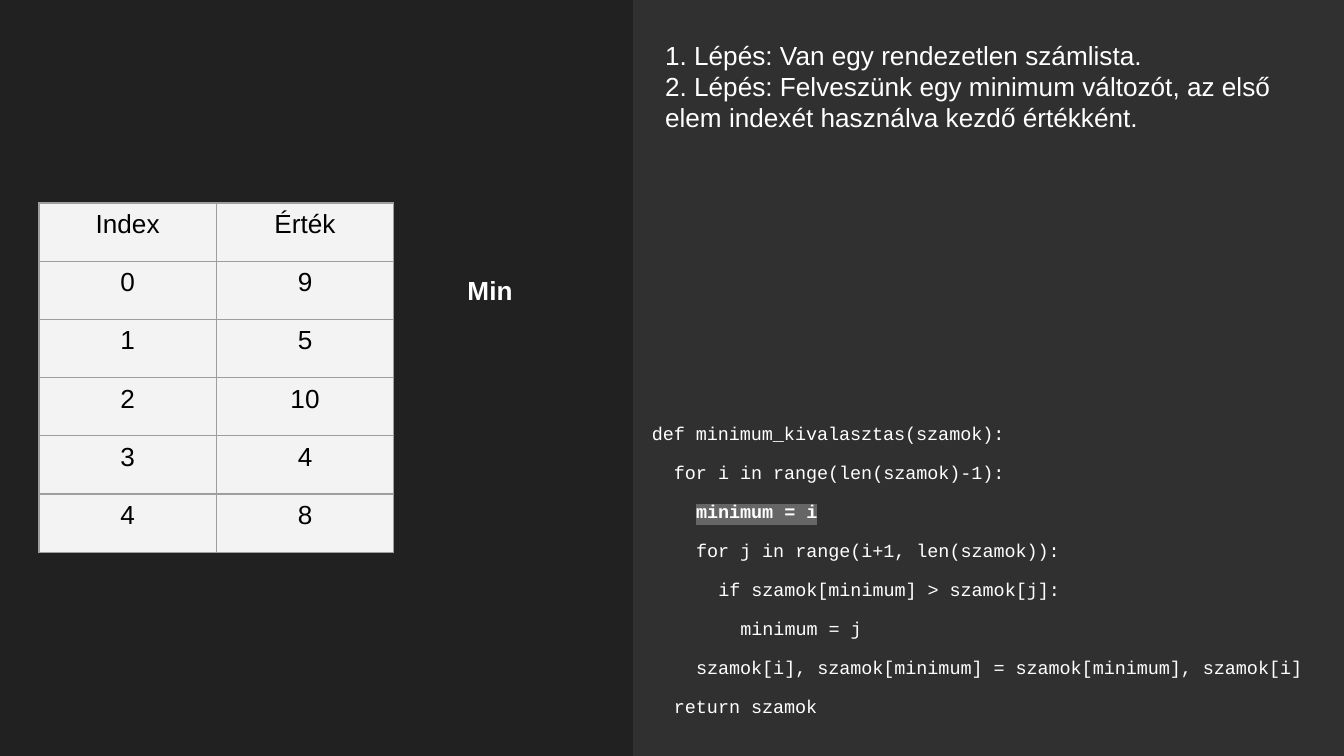
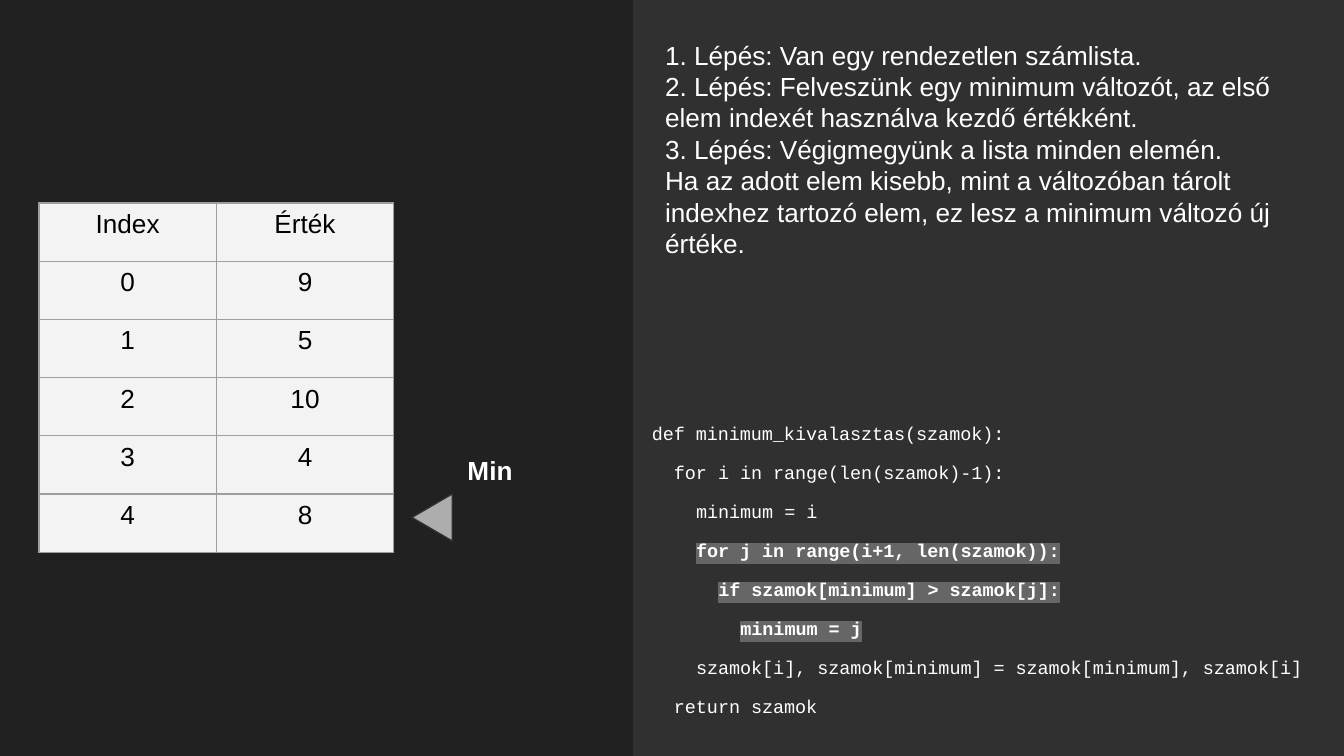
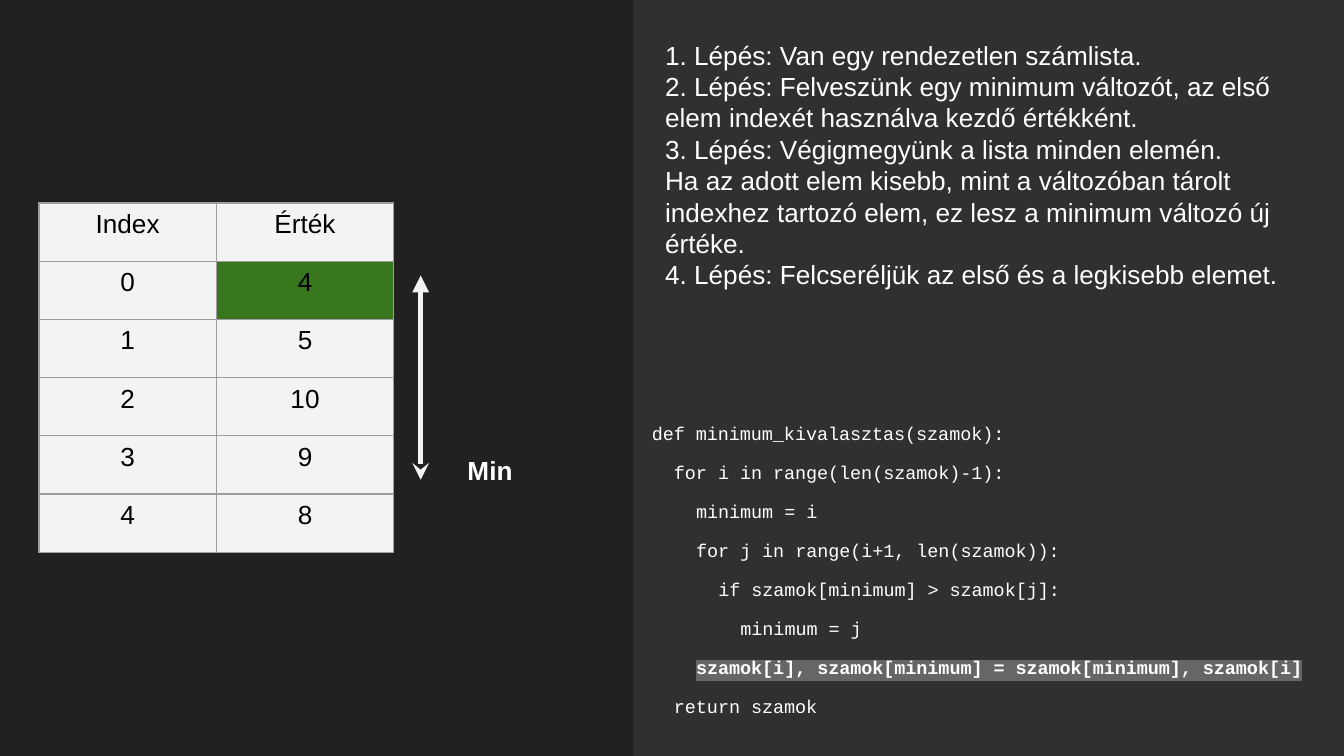
"""Builds three slides that step through selection sort."""
import lxml.etree
import pptx
import pptx.dml.color
import pptx.enum.shapes
import pptx.enum.text
import pptx.oxml.ns
import pptx.util

Inches = pptx.util.Inches
Pt = pptx.util.Pt
qn = pptx.oxml.ns.qn
ALIGN = pptx.enum.text.PP_ALIGN
ANCHOR = pptx.enum.text.MSO_ANCHOR
SHAPE = pptx.enum.shapes.MSO_SHAPE

COLORS = {
    "background": "212121",
    "panel": "303030",
    "text": "FFFFFF",
    "cell": "F3F3F3",
    "cell_text": "000000",
    "swapped": "38761D",
    "border": "9E9E9E",
    "pointer": "ADADAD",
    "highlight": "666666",
}
CODE_SIZE = 9.9
CODE_INDENT = 2 * 0.6 * CODE_SIZE

STEPS = [
    "1. Lépés: Van egy rendezetlen számlista.",
    "2. Lépés: Felveszünk egy minimum változót, az első elem indexét használva kezdő értékként.",
    "3. Lépés: Végigmegyünk a lista minden elemén.",
    "Ha az adott elem kisebb, mint a változóban tárolt indexhez tartozó elem, "
    "ez lesz a minimum változó új értéke.",
    "4. Lépés: Felcseréljük az első és a legkisebb elemet.",
]
CODE = [
    (0, "def minimum_kivalasztas(szamok):"),
    (1, "for i in range(len(szamok)-1):"),
    (2, "minimum = i"),
    (2, "for j in range(i+1, len(szamok)):"),
    (3, "if szamok[minimum] > szamok[j]:"),
    (4, "minimum = j"),
    (2, "szamok[i], szamok[minimum] = szamok[minimum], szamok[i]"),
    (1, "return szamok"),
]


def rgb(name):
    return pptx.dml.color.RGBColor.from_string(COLORS[name])


def write(paragraph, text, size=14, font="Arial", color="text", bold=False,
          highlight=None, align=ALIGN.LEFT, indent=0, spacing=1.0, before=0, after=0):
    paragraph.alignment = align
    paragraph.line_spacing = spacing
    paragraph.space_before, paragraph.space_after = Pt(before), Pt(after)
    properties = paragraph._p.get_or_add_pPr()
    properties.set("marL", str(Pt(indent)))
    properties.set("indent", "0")
    run = paragraph.add_run()
    run.text = text
    run.font.size, run.font.name, run.font.bold = Pt(size), font, bold
    run.font.color.rgb = rgb(color)
    if highlight:
        mark = lxml.etree.Element(qn("a:highlight"))
        lxml.etree.SubElement(mark, qn("a:srgbClr"), val=COLORS[highlight])
        run._r.rPr.find(qn("a:latin")).addprevious(mark)


class Deck:
    def __init__(self):
        self.presentation = pptx.Presentation()
        self.presentation.slide_width = Inches(10)
        self.presentation.slide_height = Inches(5.625)
        fill = self.presentation.slide_master.background.fill
        fill.solid()
        fill.fore_color.rgb = rgb("background")
        self.slide = None

    def start_slide(self):
        self.slide = self.presentation.slides.add_slide(self.presentation.slide_layouts[6])
        self.shape(SHAPE.RECTANGLE, 4.71, 0, 5.29, 5.625, "panel")

    def shape(self, kind, left, top, width, height, fill, line=None, rotation=0):
        shape = self.slide.shapes.add_shape(
            kind, Inches(left), Inches(top), Inches(width), Inches(height))
        shape.shadow.inherit = False
        shape.rotation = rotation
        shape.fill.solid()
        shape.fill.fore_color.rgb = rgb(fill)
        if line:
            shape.line.color.rgb = rgb(line)
            shape.line.width = Pt(0.75)
        else:
            shape.line.fill.background()

    def text(self, left, top, width, height, lines, anchor=ANCHOR.TOP, side=0.1):
        box = self.slide.shapes.add_textbox(
            Inches(left), Inches(top), Inches(width), Inches(height))
        frame = box.text_frame
        frame.word_wrap = True
        frame.vertical_anchor = anchor
        frame.margin_left = frame.margin_right = Inches(side)
        frame.margin_top = frame.margin_bottom = Inches(0.1)
        for number, (line, style) in enumerate(lines):
            paragraph = frame.add_paragraph() if number else frame.paragraphs[0]
            write(paragraph, line, **style)

    def steps(self, count):
        height = 1.62 if count == 2 else 2.88
        self.text(4.85, 0.19, 4.98, height, [(step, {}) for step in STEPS[:count]])

    def code(self, active):
        lines = []
        for number, (level, line) in enumerate(CODE):
            style = dict(size=CODE_SIZE, font="Courier New", spacing=0.75,
                         indent=level * CODE_INDENT, before=12 if number else 10,
                         after=12 if number == len(CODE) - 1 else 0)
            if number in active:
                style.update(bold=True, highlight="highlight")
            lines.append((line, style))
        self.text(4.85, 2.58, 5, 3.36, lines, anchor=ANCHOR.MIDDLE, side=0)

    def value_table(self, values, swapped=None):
        rows = [("Index", "Érték")] + list(enumerate(values))
        table = self.slide.shapes.add_table(
            len(rows), 2, Inches(0.29), Inches(1.51), Inches(2.64), Inches(2.6)).table
        table.first_row = table.horz_banding = False
        for row, entries in enumerate(rows):
            for column, entry in enumerate(entries):
                cell = table.cell(row, column)
                write(cell.text_frame.paragraphs[0], str(entry),
                      color="cell_text", align=ALIGN.CENTER)
                cell.fill.solid()
                cell.fill.fore_color.rgb = rgb("swapped" if (row, column) == swapped else "cell")
                self.borders(cell)

    def borders(self, cell):
        properties = cell._tc.get_or_add_tcPr()
        for place, side in enumerate(("a:lnL", "a:lnR", "a:lnT", "a:lnB")):
            line = lxml.etree.Element(qn(side), w=str(Pt(0.75)))
            fill = lxml.etree.SubElement(line, qn("a:solidFill"))
            lxml.etree.SubElement(fill, qn("a:srgbClr"), val=COLORS["border"])
            properties.insert(place, line)

    def min_label(self, top):
        self.text(3.38, top, 0.59, 0.43, [("Min", dict(bold=True))])

    def row_pointer(self):
        self.shape(SHAPE.ISOSCELES_TRIANGLE, 3.04, 3.7, 0.35, 0.3,
                   "pointer", line="panel", rotation=270)

    def swap_arrow(self):
        arrow = self.slide.shapes.add_connector(
            pptx.enum.shapes.MSO_CONNECTOR.STRAIGHT,
            Inches(3.13), Inches(3.57), Inches(3.13), Inches(2.05))
        arrow.line.color.rgb = rgb("cell")
        arrow.line.width = Pt(3)
        line = arrow.line._get_or_add_ln()
        lxml.etree.SubElement(line, qn("a:headEnd"), type="stealth")
        lxml.etree.SubElement(line, qn("a:tailEnd"), type="triangle")
        lxml.etree.SubElement(arrow._element.spPr, qn("a:effectLst"))


deck = Deck()
unsorted_values = [9, 5, 10, 4, 8]
swapped_values = [4, 5, 10, 9, 8]

deck.start_slide()
deck.steps(2)
deck.code({2})
deck.value_table(unsorted_values)
deck.min_label(1.94)

deck.start_slide()
deck.steps(4)
deck.code({3, 4, 5})
deck.value_table(unsorted_values)
deck.row_pointer()
deck.min_label(3.28)

deck.start_slide()
deck.steps(5)
deck.code({6})
deck.value_table(swapped_values, swapped=(1, 1))
deck.swap_arrow()
deck.min_label(3.28)

deck.presentation.save("out.pptx")
